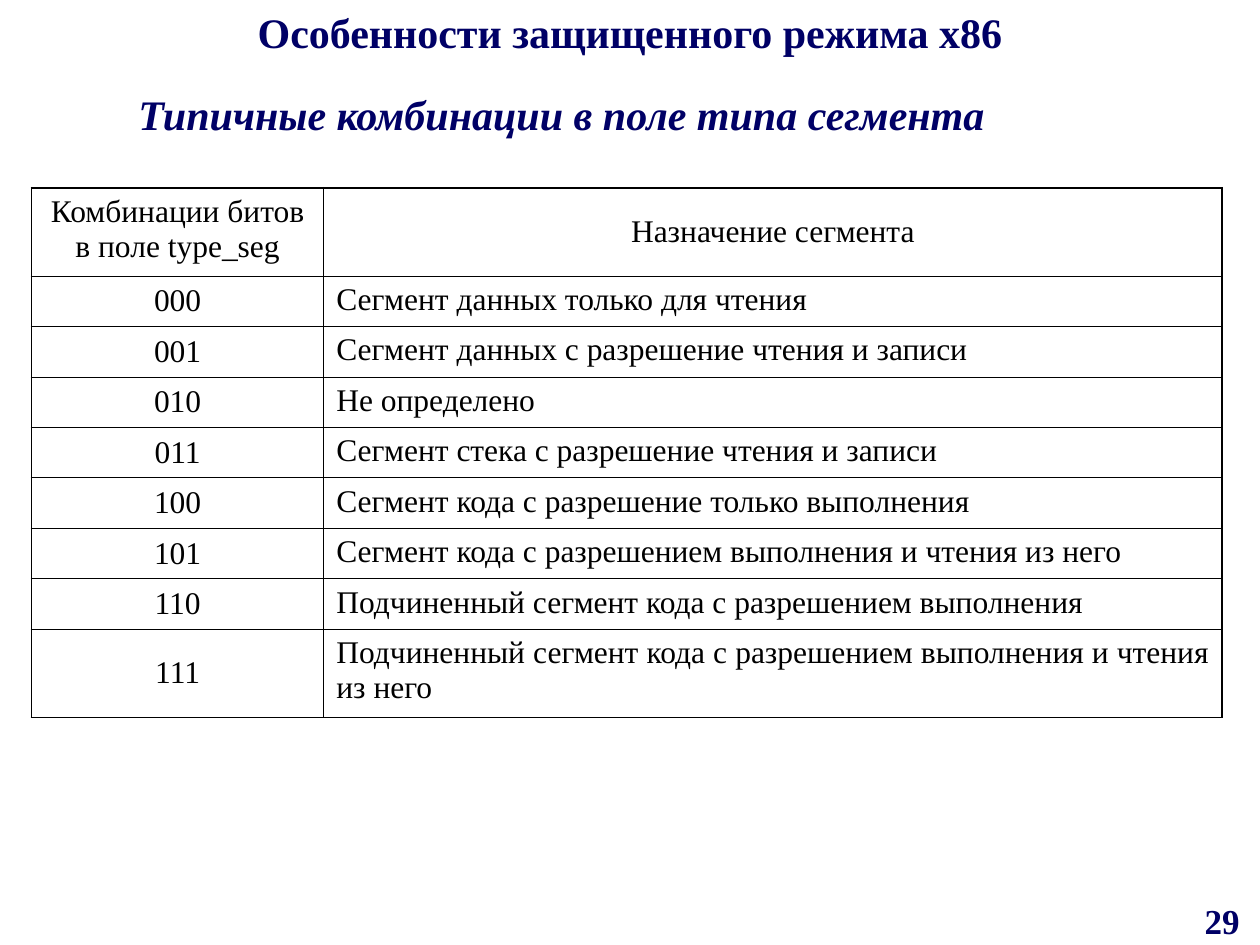
from typing import NamedTuple

from lxml.etree import SubElement
from pptx import Presentation
from pptx.dml.color import RGBColor
from pptx.enum.text import MSO_ANCHOR as ANCHOR, MSO_AUTO_SIZE as FIT, PP_ALIGN as AL
from pptx.oxml.ns import qn
from pptx.util import Inches, Pt

NAVY = RGBColor(0x00, 0x00, 0x66)
BLACK = RGBColor(0x00, 0x00, 0x00)
FONT = "Times New Roman"
THIN, THICK = Pt(0.45), Pt(1.08)
COL_WIDTHS = (2.32, 7.13)
ROW_H, TALL_ROW_H = 0.4, 0.7


class Row(NamedTuple):
    bits: str
    purpose: str
    align: AL = AL.JUSTIFY
    height: float = ROW_H


HEADER = Row("Комбинации битов в поле type_seg", "Назначение сегмента",
             AL.CENTER, TALL_ROW_H)
ROWS = [
    HEADER,
    Row("000", "Сегмент данных только для чтения"),
    Row("001", "Сегмент данных с разрешение чтения и записи", AL.LEFT),
    Row("010", "Не определено"),
    Row("011", "Сегмент стека с разрешение чтения и записи"),
    Row("100", "Сегмент кода с разрешение только выполнения"),
    Row("101", "Сегмент кода с разрешением выполнения и чтения из него"),
    Row("110", "Подчиненный сегмент кода с разрешением выполнения"),
    Row("111", "Подчиненный сегмент кода с разрешением выполнения и чтения из него",
        height=TALL_ROW_H),
]


def write(tf, text: str, *, size: float, color: RGBColor = NAVY, bold: bool = True,
          italic: bool = False, align: AL = AL.CENTER) -> None:
    p = tf.paragraphs[0]
    p.alignment = align
    r = p.add_run()
    r.text = text
    f = r.font
    f.name, f.size, f.bold, f.italic = FONT, Pt(size), bold, italic
    f.color.rgb = color


def place(sp, left: float, top: float, width: float, height: float) -> None:
    sp.left, sp.top = Inches(left), Inches(top)
    sp.width, sp.height = Inches(width), Inches(height)


def set_borders(cell, **widths: int) -> None:
    tc_pr = cell._tc.get_or_add_tcPr()
    for side, width in widths.items():
        ln = SubElement(tc_pr, qn(f"a:ln{side}"), w=str(int(width)))
        fill = SubElement(ln, qn("a:solidFill"))
        SubElement(fill, qn("a:srgbClr"), val=str(BLACK))


def draw_table(slide, rows: list[Row], left: float, top: float) -> None:
    frame = slide.shapes.add_table(
        len(rows), len(COL_WIDTHS), Inches(left), Inches(top),
        Inches(sum(COL_WIDTHS)), Inches(sum(row.height for row in rows)))
    table = frame.table
    for column, width in zip(table.columns, COL_WIDTHS):
        column.width = Inches(width)
    last_row, last_col = len(rows) - 1, len(COL_WIDTHS) - 1
    for i, row in enumerate(rows):
        table.rows[i].height = Inches(row.height)
        for j, text in enumerate((row.bits, row.purpose)):
            cell = table.cell(i, j)
            # Thick outer frame, thin inner grid
            set_borders(cell,
                        L=THICK if j == 0 else THIN,
                        R=THICK if j == last_col else THIN,
                        T=THICK if i == 0 else THIN,
                        B=THICK if i == last_row else THIN)
            cell.fill.background()
            # Only the heading of the purposes and the bit codes are centred vertically
            centred = (i == 0) == (j == last_col)
            cell.vertical_anchor = ANCHOR.MIDDLE if centred else ANCHOR.TOP
            write(cell.text_frame, text, size=18, color=BLACK, bold=False,
                  align=AL.CENTER if j == 0 else row.align)


def main() -> None:
    prs = Presentation()
    prs.slide_width, prs.slide_height = Inches(10), Inches(7.5)
    slide = prs.slides.add_slide(prs.slide_layouts[5])

    # Title
    title = slide.shapes.title
    place(title, 0, 0, 10, 0.63)
    tf = title.text_frame
    tf.auto_size, tf.vertical_anchor = FIT.NONE, ANCHOR.TOP
    write(tf, "Особенности защищенного режима х86", size=24)

    # Slide number
    number = slide.shapes.add_textbox(
        Inches(9.4), Inches(7.09), Inches(0.6), Inches(0.41))
    number.text_frame.word_wrap = True
    write(number.text_frame, "29", size=20)

    # Subtitle
    subtitle = slide.shapes.add_textbox(
        Inches(1), Inches(0.65), Inches(6.96), Inches(0.5))
    tf = subtitle.text_frame
    tf.word_wrap, tf.auto_size = False, FIT.SHAPE_TO_FIT_TEXT
    write(tf, "Типичные комбинации в поле типа сегмента", size=24,
          italic=True, align=AL.LEFT)

    # Segment types
    draw_table(slide, ROWS, 0.25, 1.49)

    prs.save("out.pptx")


if __name__ == "__main__":
    main()
